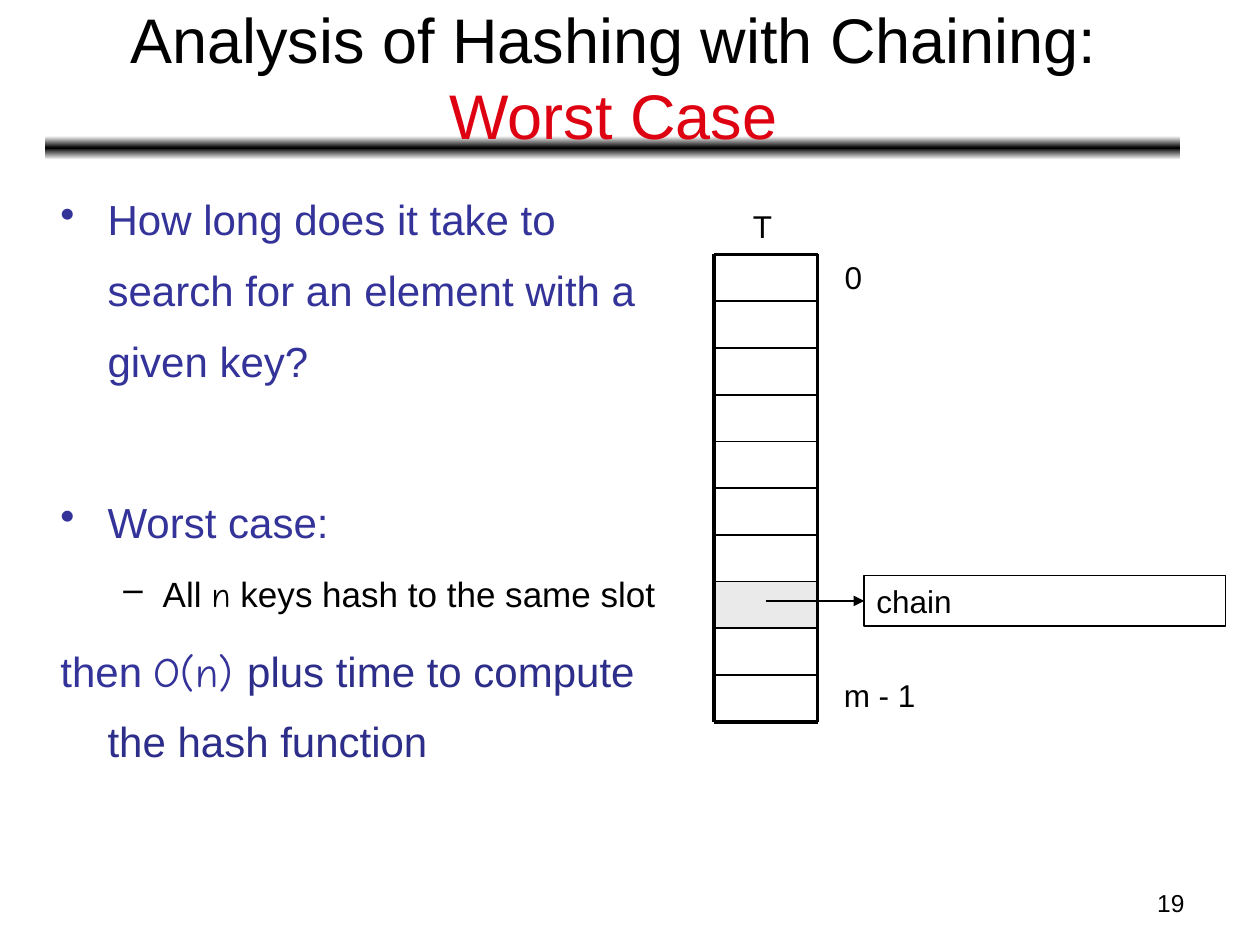
from copy import deepcopy

from pptx import Presentation
from pptx.dml.color import RGBColor
from pptx.enum.shapes import MSO_CONNECTOR as Connector, MSO_SHAPE as Shape
from pptx.enum.text import MSO_ANCHOR as Anchor, PP_ALIGN as Align
from pptx.oxml.ns import qn
from pptx.oxml.xmlchemy import OxmlElement
from pptx.util import Cm, Pt

BLACK = RGBColor(0x00, 0x00, 0x00)
WHITE = RGBColor(0xFF, 0xFF, 0xFF)
RED = RGBColor(0xDD, 0x01, 0x11)
BLUE = RGBColor(0x33, 0x33, 0x99)
DARK_BLUE = RGBColor(0x2D, 0x2D, 0x8A)
GREY = RGBColor(0xEA, 0xEA, 0xEA)
SANS, HAND = "Arial", "Comic Neue"


def set_all(target, values):
    for name, value in values.items():
        setattr(target, name, value)


def add_run(paragraph, text, size, color=BLACK, font=SANS):
    run = paragraph.add_run()
    run.text = text
    set_all(run.font, {"size": Pt(size), "name": font})
    run.font.color.rgb = color


def add_text_box(slide, box, wrap=True, anchor=Anchor.TOP):
    shape = slide.shapes.add_textbox(*map(Cm, box))
    set_all(shape.text_frame, {"word_wrap": wrap, "vertical_anchor": anchor})
    return shape.text_frame


def add_label(slide, box, text, size=18, align=Align.LEFT):
    paragraph = add_text_box(slide, box, wrap=False).paragraphs[0]
    paragraph.alignment = align
    add_run(paragraph, text, size)


def add_box(slide, kind, box):
    shape = slide.shapes.add_shape(kind, *map(Cm, box))
    shape.shadow.inherit = False
    shape.line.fill.background()
    return shape


def add_line(slide, start, end, width):
    line = slide.shapes.add_connector(Connector.STRAIGHT, *map(Cm, start + end))
    line.line.color.rgb = BLACK
    line.line.width = Pt(width)
    line.element.spPr.append(OxmlElement("a:effectLst"))
    return line


def add_arrowhead(line):
    tail = OxmlElement("a:tailEnd")
    tail.set("type", "triangle")
    line.line._get_or_add_ln().append(tail)


def set_bullet(paragraph, margin, indent, bullet, color):
    properties = paragraph._p.get_or_add_pPr()
    properties.set("marL", str(Cm(margin)))
    properties.set("indent", str(Cm(indent)))
    if not bullet:
        properties.append(OxmlElement("a:buNone"))
        return
    bullet_color = OxmlElement("a:buClr")
    value = OxmlElement("a:srgbClr")
    value.set("val", str(color))
    bullet_color.append(value)
    character = OxmlElement("a:buChar")
    character.set("char", bullet)
    properties.extend([bullet_color, character])


def add_rule(slide, box):
    """Bar that fades from black in the middle to white at both edges."""
    bar = add_box(slide, Shape.ROUNDED_RECTANGLE, box)
    bar.fill.gradient()
    bar.fill.gradient_angle = 270
    stops = bar.element.spPr.find(qn("a:gradFill")).find(qn("a:gsLst"))
    stops.insert(1, deepcopy(stops[0]))
    for stop, position, color in zip(
        bar.fill.gradient_stops, (0, 0.5, 1), (WHITE, BLACK, WHITE)
    ):
        stop.position = position
        stop.color.rgb = color


def add_title(slide, box):
    paragraph = add_text_box(slide, box, anchor=Anchor.MIDDLE).paragraphs[0]
    paragraph.alignment = Align.CENTER
    add_run(paragraph, "Analysis of Hashing with Chaining:", 36)
    paragraph.add_line_break()
    add_run(paragraph, "Worst Case", 36, RED)


def add_body(slide, box):
    # margin, indent, bullet, space before, size, runs
    items = [
        (0.95, -0.95, "•", 0, 24,
         [("How long does it take to search for an element with a given key?", BLUE, SANS)]),
        (0.95, -0.95, "•", 52, 24, [("Worst case:", BLUE, SANS)]),
        (2.06, -0.79, "–", 5, 20,
         [("All ", BLACK, SANS), ("n", BLACK, HAND),
          (" keys hash to the same slot", BLACK, SANS)]),
        (0.95, -0.95, None, 6, 24,
         [("then ", BLUE, SANS), ("O(n) ", BLUE, HAND),
          ("plus time to compute the hash function", DARK_BLUE, SANS)]),
    ]
    frame = add_text_box(slide, box)
    for index, (margin, indent, bullet, before, size, runs) in enumerate(items):
        paragraph = frame.add_paragraph() if index else frame.paragraphs[0]
        set_all(paragraph, {"line_spacing": 1.4, "space_before": Pt(before)})
        set_bullet(paragraph, margin, indent, bullet, runs[0][1])
        for text, color, font in runs:
            add_run(paragraph, text, size, color, font)


def add_hash_table(slide, box, slots=10, used_slot=7):
    left, top, width, height = box
    right, bottom = left + width, top + height
    step = height / slots
    used_top = top + used_slot * step

    # Slots and frame
    used = add_box(slide, Shape.RECTANGLE, (left, used_top, width, step))
    used.fill.solid()
    used.fill.fore_color.rgb = GREY
    for row in range(slots + 1):
        y = top + row * step
        add_line(slide, (left, y), (right, y), 2.25 if row in (0, slots) else 1)
    for x in (left, right):
        add_line(slide, (x, top), (x, bottom), 2.25)

    # Labels
    add_label(slide, (right + 0.3, top - 0.05, 0.86, 1.02), "0")
    add_label(slide, (right + 0.28, bottom - 1.04, 1.96, 1.02), "m - 1")
    add_label(slide, (left + 0.53, top - 1.09, 0.89, 1.02), "T")

    # Chain hanging off the used slot
    chain = add_box(slide, Shape.RECTANGLE, (right + 0.94, used_top - 0.12, 7.29, 1.02))
    chain.fill.background()
    chain.line.color.rgb = BLACK
    chain.line.width = Pt(0.75)
    chain.text_frame.vertical_anchor = Anchor.TOP
    paragraph = chain.text_frame.paragraphs[0]
    paragraph.alignment = Align.LEFT
    add_run(paragraph, "chain", 18)
    y = used_top + 0.39
    arrow = add_line(slide, (left + width / 2, y), (right + 0.94, y), 0.75)
    arrow.end_connect(chain, 1)
    add_arrowhead(arrow)


def main():
    presentation = Presentation()
    set_all(presentation, {"slide_width": Cm(25.4), "slide_height": Cm(19.05)})
    slide = presentation.slides.add_slide(presentation.slide_layouts[6])
    add_rule(slide, (0.91, 2.74, 22.89, 0.48))
    add_label(slide, (18.21, 17.78, 5.92, 0.89), "19", 14, Align.RIGHT)
    add_title(slide, (0.94, 0.28, 22.86, 2.51))
    add_body(slide, (0.97, 3.38, 13.03, 14.99))
    add_hash_table(slide, (14.4, 5.13, 2.08, 9.42))
    presentation.save("out.pptx")


if __name__ == "__main__":
    main()
